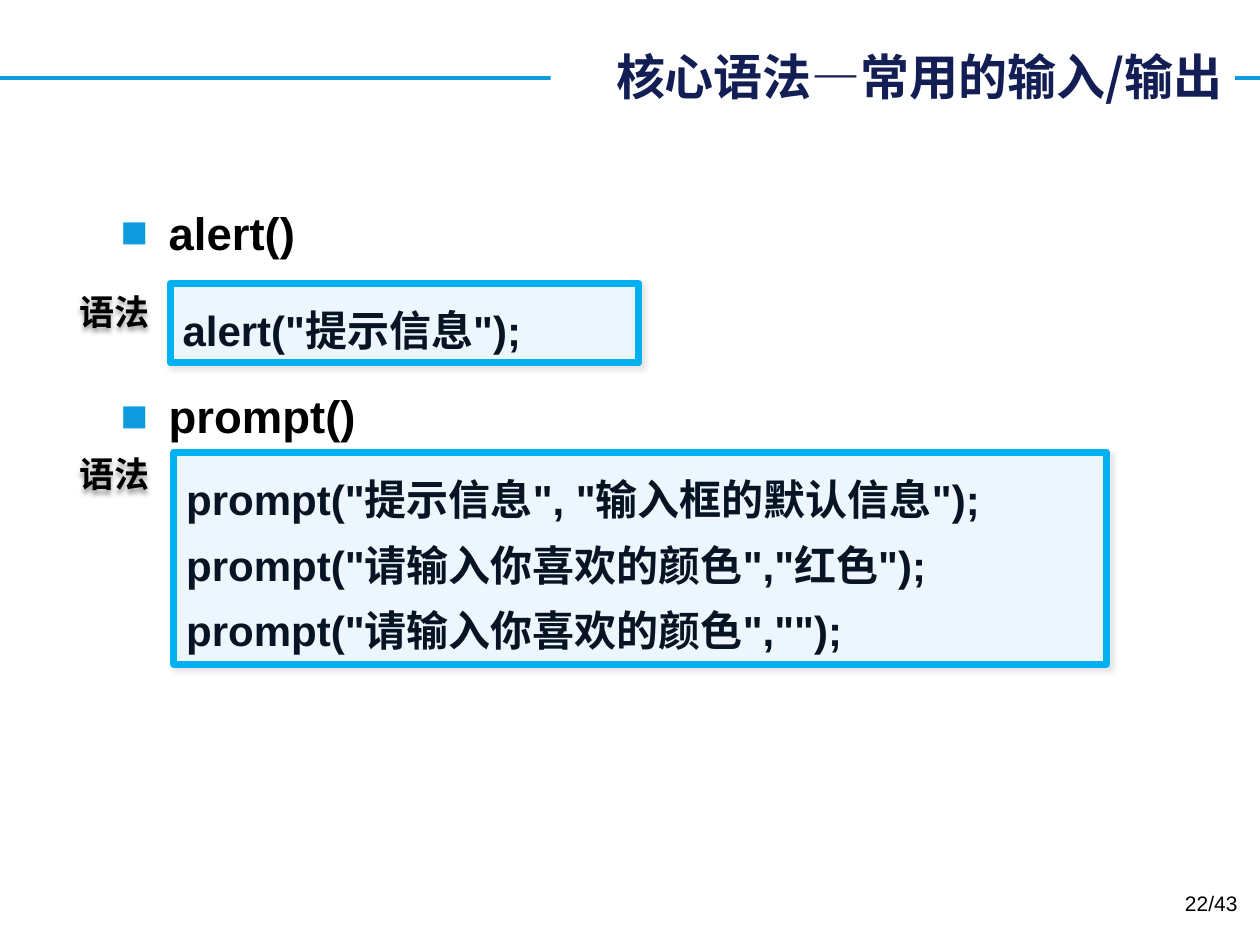
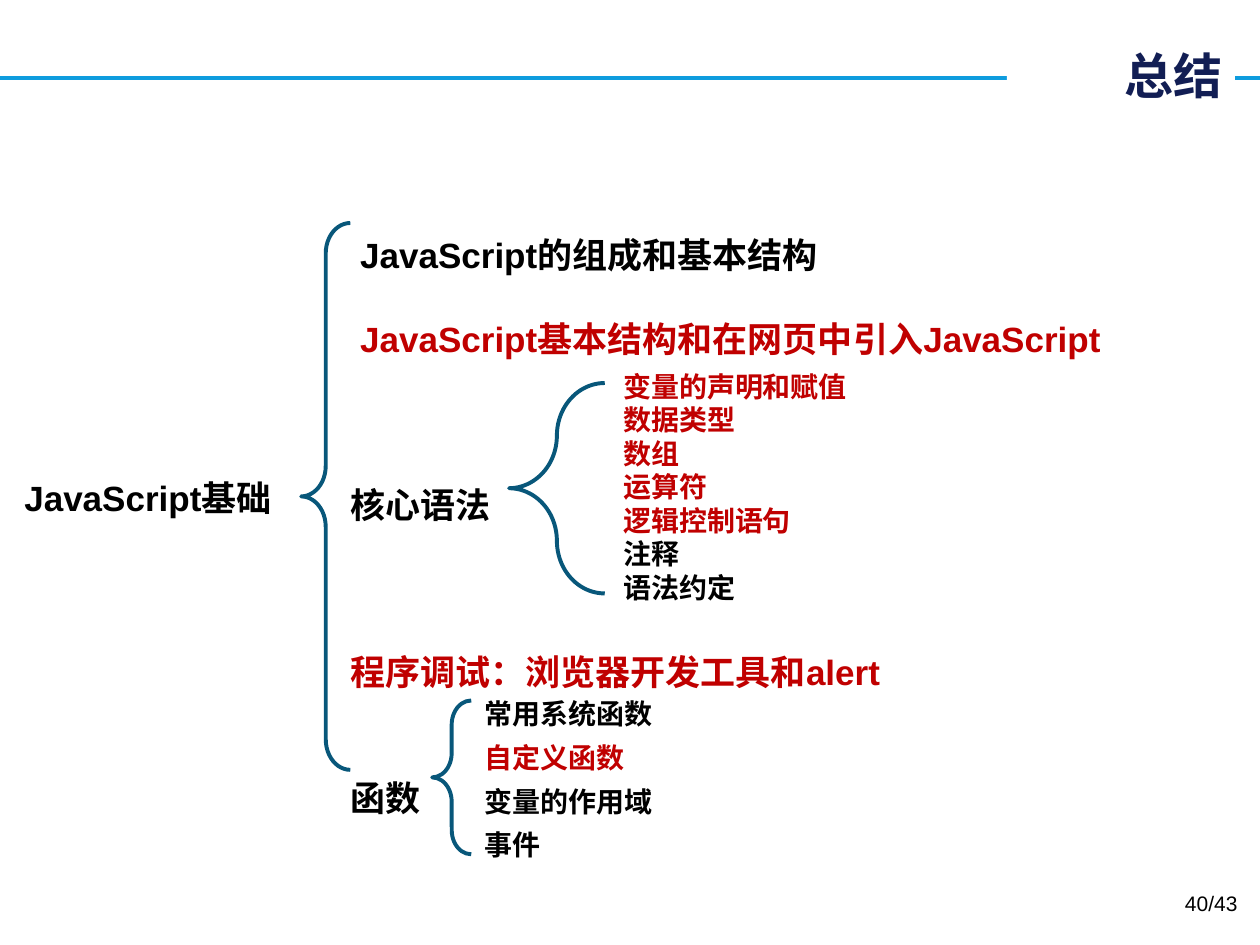
from pptx import Presentation
from pptx.dml.color import RGBColor
from pptx.enum.shapes import MSO_CONNECTOR, MSO_SHAPE
from pptx.enum.text import MSO_ANCHOR, MSO_AUTO_SIZE, PP_ALIGN
from pptx.oxml import parse_xml
from pptx.oxml.ns import nsdecls, qn
from pptx.util import Pt

PX = 9144
LATIN = "Arial"
HAN = "Noto Sans CJK SC"
WHITE = RGBColor(0xFF, 0xFF, 0xFF)
BLACK = RGBColor(0x00, 0x00, 0x00)
NAVY = RGBColor(0x12, 0x1E, 0x54)
BLUE = RGBColor(0x0E, 0x9C, 0xDE)
RED = RGBColor(0xC0, 0x00, 0x00)
TEAL = RGBColor(0x08, 0x57, 0x7A)
CODE_TEXT = RGBColor(0x07, 0x14, 0x24)
CODE_FILL = RGBColor(0xED, 0xF5, 0xFD)
CODE_LINE = RGBColor(0x00, 0xB0, 0xF0)


def write(frame, text, size=20, color=BLACK, bold=True, font=LATIN, align=PP_ALIGN.LEFT,
          spacing=None, before=0, indent=0, bullet=None):
    para = frame.paragraphs[0]
    if para.runs:
        para = frame.add_paragraph()
    para.alignment = align
    if spacing:
        para.line_spacing = spacing
    if before:
        para.space_before = Pt(before)
    props = para._p.get_or_add_pPr()
    if indent:
        props.set("marL", str(indent * PX))
    if bullet:
        props.set("indent", str(-indent * PX))
        props.append(parse_xml(f'<a:buClr {nsdecls("a")}><a:srgbClr val="{BLUE}"/></a:buClr>'))
        props.append(parse_xml(f'<a:buFont {nsdecls("a")} typeface="{LATIN}"/>'))
        props.append(parse_xml(f'<a:buChar {nsdecls("a")} char="{bullet}"/>'))
    span = para.add_run()
    span.text = text
    span.font.size = Pt(size)
    span.font.bold = bold
    span.font.name = font
    span.font.color.rgb = color
    span._r.get_or_add_rPr().append(parse_xml(f'<a:ea {nsdecls("a")} typeface="{font}"/>'))


def add_text_box(page, left, top, width, height, wrap=True):
    box = page.shapes.add_textbox(left * PX, top * PX, width * PX, height * PX)
    box.text_frame.word_wrap = wrap
    return box


deck = Presentation()
deck.slide_width, deck.slide_height = 1000 * PX, 750 * PX

pages = []
for title_text, number, title_area in [
    ("核心语法—常用的输入/输出", "22/43", (437, 8, 543, 104)),
    ("总结", "40/43", (799, 31, 181, 57)),
]:
    page = deck.slides.add_slide(deck.slide_layouts[5])
    rule = page.shapes.add_connector(MSO_CONNECTOR.STRAIGHT, 0, 62 * PX, 1000 * PX, 62 * PX)
    rule.line.color.rgb = BLUE
    rule.line.width = Pt(2.25)
    rule.element.spPr.append(parse_xml(f'<a:effectLst {nsdecls("a")}/>'))

    title = page.shapes.title
    title.left, title.top, title.width, title.height = [side * PX for side in title_area]
    title.fill.solid()
    title.fill.fore_color.rgb = WHITE
    title.text_frame.vertical_anchor = MSO_ANCHOR.MIDDLE
    title.text_frame.auto_size = MSO_AUTO_SIZE.NONE
    write(title.text_frame, title_text, size=28, color=NAVY, font=HAN, align=PP_ALIGN.RIGHT)
    page.shapes._spTree.append(title.element)

    footer = add_text_box(page, 759, 702, 233, 40)
    write(footer.text_frame, number, size=12, bold=False, align=PP_ALIGN.RIGHT)
    pages.append(page)

syntax_page, summary_page = pages

functions = add_text_box(syntax_page, 86, 136, 895, 219)
for name, gap in [("alert()", 0), ("prompt()", 58)]:
    write(functions.text_frame, name, size=26, spacing=1.5, before=gap, indent=38, bullet="■")

shadowed = []
for label_top, code_area, code_lines in [
    (225, (135, 225, 372, 63), ['alert("提示信息");']),
    (354, (138, 359, 740, 168), [
        'prompt("提示信息", "输入框的默认信息");',
        'prompt("请输入你喜欢的颜色","红色");',
        'prompt("请输入你喜欢的颜色","");',
    ]),
]:
    code = syntax_page.shapes.add_shape(MSO_SHAPE.ROUNDED_RECTANGLE, *[side * PX for side in code_area])
    code.adjustments[0] = 0
    code.fill.solid()
    code.fill.fore_color.rgb = CODE_FILL
    code.line.color.rgb = CODE_LINE
    code.line.width = Pt(4)
    code.text_frame.word_wrap = True
    code.text_frame.vertical_anchor = MSO_ANCHOR.TOP
    for line in code_lines:
        write(code.text_frame, line, size=24, color=CODE_TEXT, spacing=1.3)

    label = add_text_box(syntax_page, 53, label_top, 77, 44, wrap=False)
    label.text_frame.vertical_anchor = MSO_ANCHOR.MIDDLE
    write(label.text_frame, "语法", font=HAN)
    shadowed += [(code, 10, 45), (label, 40, 90)]

for shape, opacity, angle in shadowed:
    shape.shadow.inherit = False
    shape.element.spPr.find(qn("a:effectLst")).append(parse_xml(
        f'<a:outerShdw {nsdecls("a")} blurRad="{Pt(3)}" dist="{Pt(2)}" dir="{angle * 60000}" algn="ctr" '
        f'rotWithShape="0"><a:srgbClr val="{BLACK}"><a:alpha val="{opacity * 1000}"/></a:srgbClr></a:outerShdw>'))

topics = add_text_box(summary_page, 268, 147, 689, 515)
for text, color, spacing, gap, indent in [
    ("JavaScript的组成和基本结构", BLACK, 2.0, 0, 8),
    ("JavaScript基本结构和在网页中引入JavaScript", RED, 2.0, 0, 8),
    ("核心语法", BLACK, 2.0, 47, 0),
    ("程序调试：浏览器开发工具和alert", RED, 2.0, 47, 0),
    ("函数", BLACK, 3.0, 0, 0),
]:
    write(topics.text_frame, text, color=color, spacing=spacing, before=gap, indent=indent)

for area, spacing, items in [
    ((485, 288, 255, 199), None, [
        ("变量的声明和赋值", RED), ("数据类型", RED), ("数组", RED), ("运算符", RED),
        ("逻辑控制语句", RED), ("注释", BLACK), ("语法约定", BLACK),
    ]),
    ((375, 540, 222, 147), Pt(25), [
        ("常用系统函数", BLACK), ("自定义函数", RED), ("变量的作用域", BLACK), ("事件", BLACK),
    ]),
]:
    details = add_text_box(summary_page, *area)
    for text, color in items:
        write(details.text_frame, text, size=16, color=color, spacing=spacing)

root = add_text_box(summary_page, 0, 373, 235, 44)
write(root.text_frame, "JavaScript基础", align=PP_ALIGN.CENTER)

for area in [(239, 177, 39, 434), (404, 304, 76, 167), (343, 556, 31, 122)]:
    brace = summary_page.shapes.add_shape(MSO_SHAPE.LEFT_BRACE, *[side * PX for side in area])
    brace.adjustments[0] = 0.62
    brace.adjustments[1] = 0.5
    brace.fill.background()
    brace.line.color.rgb = TEAL
    brace.line.width = Pt(2.25)
    brace.shadow.inherit = False

deck.save("out.pptx")
